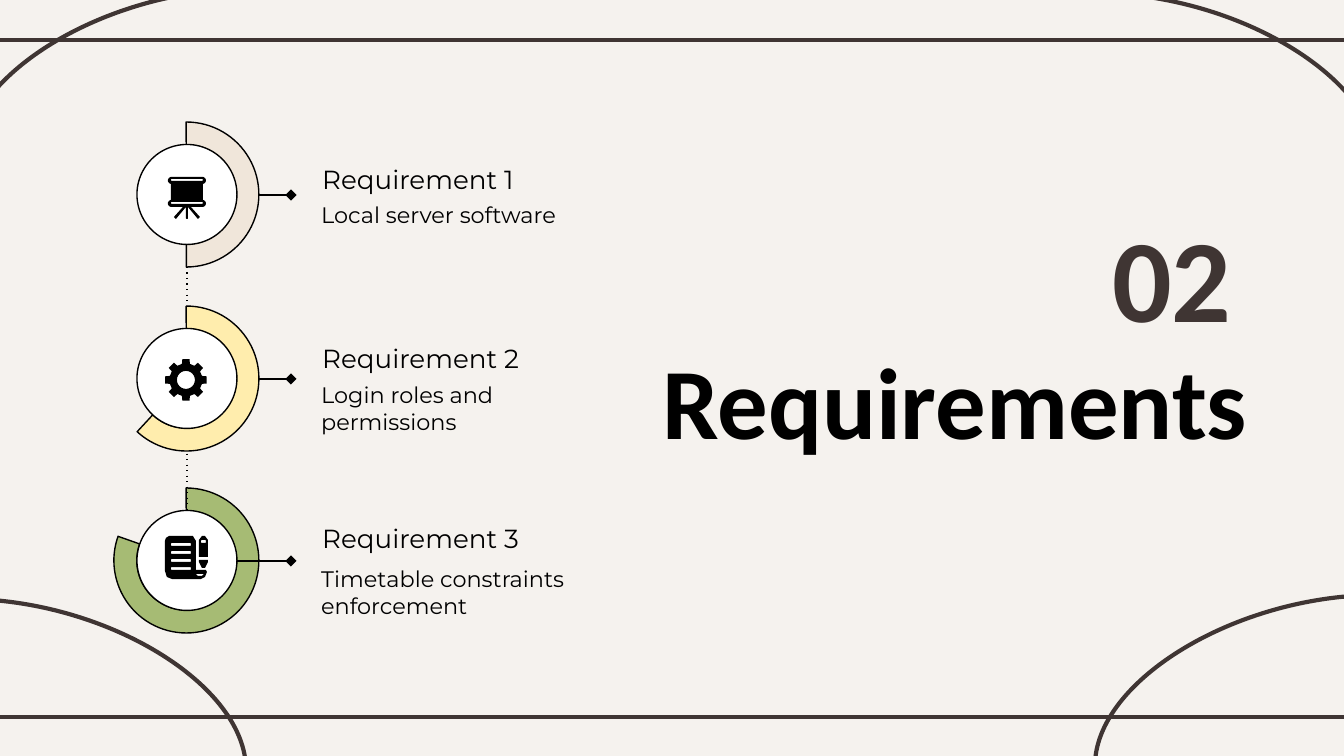
from math import cos, radians, sin

from lxml import etree
from pptx import Presentation
from pptx.dml.color import RGBColor
from pptx.enum.shapes import MSO_CONNECTOR, MSO_SHAPE
from pptx.enum.text import MSO_ANCHOR, MSO_AUTO_SIZE, PP_ALIGN
from pptx.oxml.ns import qn
from pptx.util import Pt

STRAIGHT, CURVE = MSO_CONNECTOR.STRAIGHT, MSO_CONNECTOR.CURVE
ARC, OVAL = MSO_SHAPE.BLOCK_ARC, MSO_SHAPE.OVAL
TOP, MIDDLE, BOTTOM = MSO_ANCHOR.TOP, MSO_ANCHOR.MIDDLE, MSO_ANCHOR.BOTTOM
LEFT, RIGHT = PP_ALIGN.LEFT, PP_ALIGN.RIGHT
NO_FIT = MSO_AUTO_SIZE.NONE

PX = 914400 / 134.4
BROWN, BLACK, WHITE = "3F3533", "000000", "FFFFFF"


def color(hex_value):
    return RGBColor.from_string(hex_value)


def draw_icon(contours):
    """Draw contours as one black outline; (l, t, r, b, radius) is a rounded box."""
    builder = None
    for contour in contours:
        points = contour
        if not isinstance(contour[0], tuple):
            l, t, r, b, radius = contour
            corners = [(r - radius, b - radius), (l + radius, b - radius),
                       (l + radius, t + radius), (r - radius, t + radius)]
            points = [(x + radius * cos(radians(90 * i + step)),
                       y + radius * sin(radians(90 * i + step)))
                      for i, (x, y) in enumerate(corners)
                      for step in range(0, 91, 15)]
        points = [(x * 10, y * 10) for x, y in points]
        if builder is None:
            builder = slide.shapes.build_freeform(*points[0], scale=PX / 10)
        else:
            builder.move_to(*points[0])
        builder.add_line_segments(points[1:], close=True)
    icon = builder.convert_to_shape()
    icon.shadow.inherit = False
    icon.fill.solid()
    icon.fill.fore_color.rgb = color(BLACK)
    icon.line.fill.background()


prs = Presentation()
prs.slide_width, prs.slide_height = round(1344 * PX), round(756 * PX)
slide = prs.slides.add_slide(prs.slide_layouts[0])
slide.background.fill.solid()
slide.background.fill.fore_color.rgb = color("F5F2EE")

# Requirement rows: ring top, ring gap in degrees, ring colour, heading top, detail top, detail
requirements = [
    (122, 180, "F0E6DA", 145, 188, "Local server software"),
    (306, 137.2, "FFEDAD", 324, 368, "Login roles and permissions"),
    (488, 70.5, "A6BB74", 504, 552, "Timetable constraints enforcement"),
]

# Frame lines, corner curves, dotted links and diamond pins
lines = [(STRAIGHT, -11, y, 1355, y, BROWN, 2.25, None) for y in (40, 717)]
lines += [(CURVE, *ends, BROWN, 2.25, None) for ends in (
    (-36, 599, 246, 770), (1094, -7, 1378, 164),
    (1379, 595, 1095, 766), (249, -11, -35, 160))]
lines += [(STRAIGHT, 187, y1, 187, y2, BLACK, 0.75, ("a:prstDash", "val", "dot"))
          for y1, y2 in ((245, 355), (415, 539))]
lines += [(STRAIGHT, 237, row[0] + 73, 291, row[0] + 73, BLACK, 0.75,
           ("a:tailEnd", "type", "diamond")) for row in requirements]
for kind, x1, y1, x2, y2, line_color, width, extra in lines:
    line = slide.shapes.add_connector(kind, *(round(v * PX) for v in (x1, y1, x2, y2)))
    line.line.color.rgb = color(line_color)
    line.line.width = Pt(width)
    properties = line._element.spPr
    if kind == CURVE:
        properties.find(qn("a:prstGeom")).set("prst", "curvedConnector2")
    if extra:
        tag, attribute, value = extra
        etree.SubElement(properties.find(qn("a:ln")), qn(tag)).set(attribute, value)
    etree.SubElement(properties, qn("a:effectLst"))

# Title, section number, headings and details
title_font = {"name": "Calibri", "size": Pt(54), "bold": True}
number_font = {"name": "Calibri", "size": Pt(63), "bold": True}
heading_font = {"name": "Montserrat", "size": Pt(14), "bold": False}
detail_font = {"name": "Montserrat", "size": Pt(12), "bold": False}
section_title, section_number = slide.placeholders
texts = [
    (section_title, "Requirements", (637, 352, 624, 95), MIDDLE, RIGHT, BLACK, title_font),
    (section_number, "02", (1003, 204, 242, 144), MIDDLE, RIGHT, BROWN, number_font),
]
for number, (_, _, _, heading_top, detail_top, detail) in enumerate(requirements, 1):
    texts += [
        (None, f"Requirement {number}", (309, heading_top, 235, 63),
         BOTTOM, LEFT, BLACK, heading_font),
        (None, detail, (308, detail_top, 281, 82), TOP, LEFT, BLACK, detail_font),
    ]
for holder, words, box, anchor, align, text_color, font_values in texts:
    place = [round(v * PX) for v in box]
    holder = holder or slide.shapes.add_textbox(*place)
    holder.left, holder.top, holder.width, holder.height = place
    frame = holder.text_frame
    frame_values = {"word_wrap": True, "auto_size": NO_FIT, "vertical_anchor": anchor}
    for side in ("left", "top", "right", "bottom"):
        frame_values[f"margin_{side}"] = round(13.44 * PX)
    for key, value in frame_values.items():
        setattr(frame, key, value)
    paragraph = frame.paragraphs[0]
    paragraph.alignment = align
    paragraph.space_before = Pt(0)
    run = paragraph.add_run()
    run.text = words
    run.font.color.rgb = color(text_color)
    for key, value in font_values.items():
        setattr(run.font, key, value)

# Progress rings and white discs
for ring_top, gap, ring_color, *_ in requirements:
    for kind, left, top, size, fill in (
            (ARC, 114, ring_top, 145, ring_color),
            (OVAL, 137, ring_top + 22.5, 100, WHITE)):
        part = slide.shapes.add_shape(kind, *(round(v * PX) for v in (left, top, size, size)))
        part.shadow.inherit = False
        part.fill.solid()
        part.fill.fore_color.rgb = color(fill)
        part.line.color.rgb = color(BLACK)
        part.line.width = Pt(0.75)
        if kind == ARC:
            # Adjustment angles count 0.6 per degree
            for i, value in enumerate((gap * 0.6, 0.125, 0.158)):
                part.adjustments[i] = value
            part.rotation = 90
            part._element.spPr.find(qn("a:xfrm")).set("flipH", "1")
            if ring_top == 488:
                # The last pin crosses its ring, so this ring goes to the back
                slide.shapes._spTree.insert(2, part._element)

# Icons: projector screen, gear, then page, pencil tip and pencil
screen = [
    (168, 177, 206, 184, 3.5), (171, 179, 203, 181, 1),
    (171, 184, 203, 200, 0),
    (168, 200, 206, 207, 3.5), (171, 202, 203, 204, 1),
    [(183, 207), (186, 207), (176, 219), (174, 217)],
    (186, 207, 188, 219, 1),
    [(191, 207), (188, 207), (198, 219), (200, 217)],
]
gear_teeth = [(186 + r * cos(radians(45 * tooth + turn)),
               380 + r * sin(radians(45 * tooth + turn)))
              for tooth in range(8)
              for turn, r in ((-14, 16.5), (-10, 21), (10, 21), (14, 16.5))]
gear = [gear_teeth, (177, 371, 195, 389, 9)]
page = [
    [(169, 536), (193, 536), (196, 541), (196, 570), (206, 570), (207, 572),
     (205, 577), (201, 579), (172, 579), (167, 577), (165, 571), (165, 541), (166, 538)],
    *((171, y, 191, y + 3, 1) for y in range(543, 568, 8)),
    [(204, 574), (202, 576), (198, 576), (196, 574)],
]
pencil_tip = [[(199, 560), (208, 560), (208, 562), (205, 568), (202, 568), (199, 562)]]
pencil = [
    [(202, 536), (205, 536), (208, 540), (208, 557), (199, 557), (199, 540)],
    (201, 540, 206, 543, 1),
]
for icon_contours in (screen, gear, page, pencil_tip, pencil):
    draw_icon(icon_contours)

prs.save("out.pptx")
